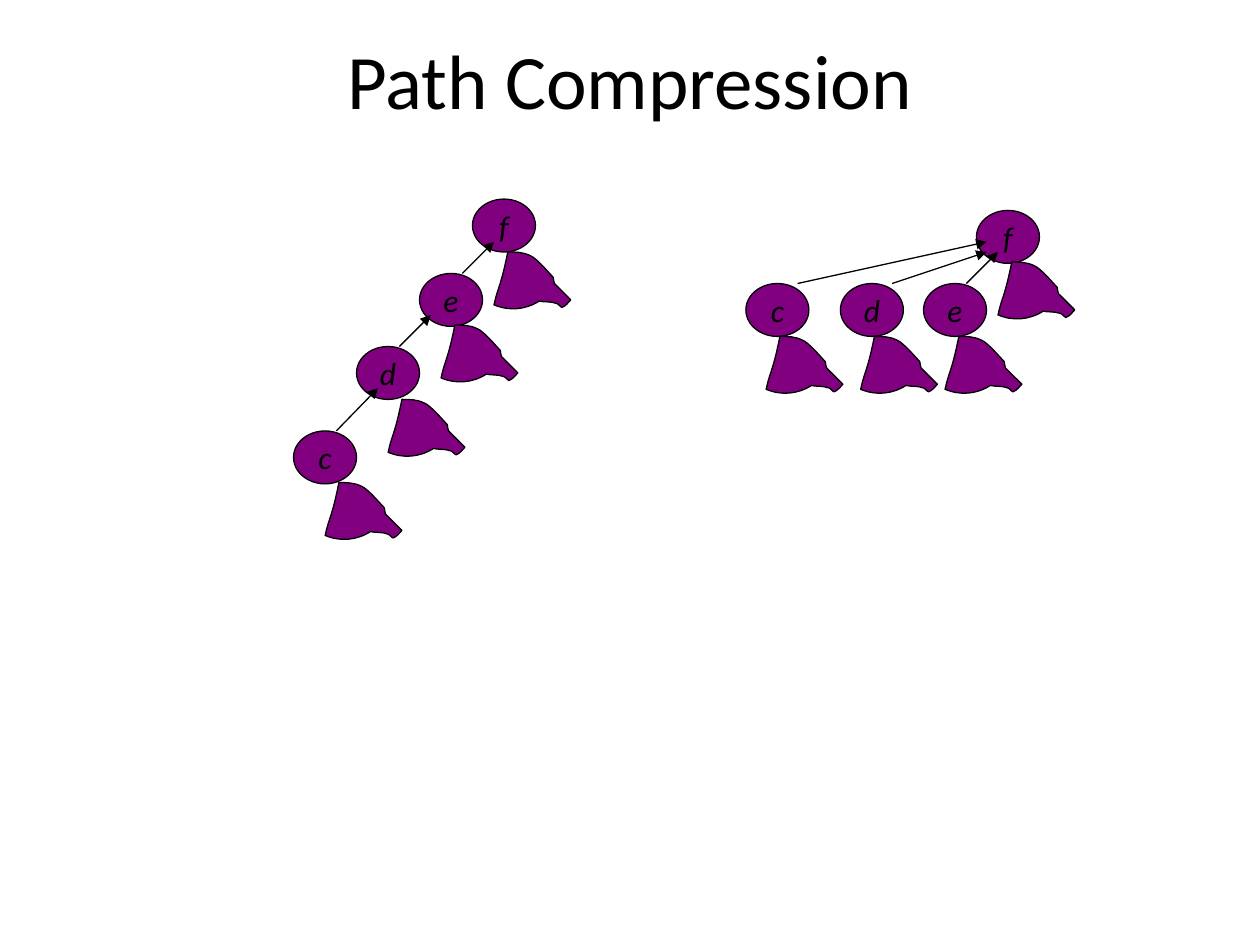
from pptx import Presentation
from pptx.dml.color import RGBColor
from pptx.enum.shapes import MSO_CONNECTOR, MSO_SHAPE
from pptx.enum.text import MSO_ANCHOR, PP_ALIGN
from pptx.oxml.ns import qn
from pptx.util import Inches, Pt
from lxml.etree import SubElement

BLACK = RGBColor(0x00, 0x00, 0x00)
PURPLE = RGBColor(0x80, 0x00, 0x80)
TITLE_FONT = {"name": "Calibri", "size": Pt(44)}
NODE_FONT = {"name": "Calibri", "size": Pt(18), "italic": True}
NODE_SIZE = (0.5, 0.42)

SUBTREE_START = (0.11, 0)
SUBTREE_CURVES = [
    [(0.09, 0.1), (0.07, 0.19), (0.04, 0.28)],
    [(0.03, 0.31), (0.02, 0.34), (0.01, 0.38)],
    [(0.01, 0.39), (0, 0.42), (0, 0.42)],
    [(0.12, 0.47), (0.25, 0.46), (0.36, 0.39)],
    [(0.4, 0.4), (0.45, 0.39), (0.5, 0.41)],
    [(0.51, 0.41), (0.53, 0.44), (0.54, 0.44)],
    [(0.57, 0.43), (0.59, 0.4), (0.61, 0.38)],
    [(0.56, 0.33), (0.52, 0.29), (0.48, 0.25)],
    [(0.47, 0.24), (0.48, 0.22), (0.47, 0.2)],
    [(0.44, 0.17), (0.34, 0.05), (0.29, 0.03)],
    [(0.23, 0), (0.17, 0), (0.11, 0)],
]

PATH_TREE = {
    "nodes": [("f", 3.75, 1.58), ("e", 3.33, 2.17), ("d", 2.83, 2.75), ("c", 2.33, 3.42)],
    "edges": [(3.67, 2.17, 3.92, 1.92), (3.17, 2.75, 3.42, 2.5), (2.67, 3.42, 3, 3.08)],
    "subtrees": [(3.92, 2), (3.5, 2.58), (3.08, 3.17), (2.58, 3.83)],
}
COMPRESSED_TREE = {
    "nodes": [("f", 7.75, 1.67), ("e", 7.33, 2.25), ("d", 6.67, 2.25), ("c", 5.92, 2.25)],
    "edges": [(7.67, 2.25, 7.92, 2), (7.08, 2.25, 7.83, 2), (6.33, 2.25, 7.83, 1.92)],
    "subtrees": [(7.92, 2.08), (7.5, 2.67), (6.83, 2.67), (6.08, 2.67)],
}


def set_text(shape, text, font_format):
    """Write one centred line of black text in a shape."""
    frame = shape.text_frame
    frame.vertical_anchor = MSO_ANCHOR.MIDDLE
    paragraph = frame.paragraphs[0]
    paragraph.alignment = PP_ALIGN.CENTER
    run = paragraph.add_run()
    run.text = text
    for name, value in font_format.items():
        setattr(run.font, name, value)
    run.font.color.rgb = BLACK


def set_line(line):
    """Give an outline or connector its thin black stroke."""
    line.color.rgb = BLACK
    line.width = Pt(0.75)


def paint(shape):
    """Fill a shape purple with a black outline and no shadow."""
    shape.shadow.inherit = False
    shape.fill.solid()
    shape.fill.fore_color.rgb = PURPLE
    set_line(shape.line)


def add_title(slide, text):
    """Place and format the title placeholder."""
    title = slide.shapes.title
    title.left, title.top, title.width, title.height = map(Inches, (0.75, 0, 8.5, 1.25))
    set_text(title, text, TITLE_FONT)


def add_node(slide, label, left, top):
    """Add a labelled ellipse."""
    node = slide.shapes.add_shape(MSO_SHAPE.OVAL, *map(Inches, (left, top, *NODE_SIZE)))
    paint(node)
    node.text_frame.word_wrap = False
    set_text(node, label, NODE_FONT)


def add_edge(slide, *ends):
    """Add an arrow from a child to its parent."""
    edge = slide.shapes.add_connector(MSO_CONNECTOR.STRAIGHT, *map(Inches, ends))
    set_line(edge.line)
    SubElement(edge.line._get_or_add_ln(), qn("a:tailEnd"), type="triangle")
    SubElement(edge._element.spPr, qn("a:effectLst"))


def bend_segments(shape):
    """Turn every three straight segments of an outline into one cubic curve."""
    segments = list(shape._element.iter(qn("a:lnTo")))
    for first, second, third in zip(segments[::3], segments[1::3], segments[2::3]):
        outline = first.getparent()
        curve = SubElement(outline, qn("a:cubicBezTo"))
        outline.replace(first, curve)
        for segment in (first, second, third):
            curve.append(segment[0])
        outline.remove(second)
        outline.remove(third)


def add_subtree(slide, left, top):
    """Add the curved outline that stands for a subtree."""
    offsets = [SUBTREE_START, *sum(SUBTREE_CURVES, [])]
    points = [(Inches(left + x), Inches(top + y)) for x, y in offsets]
    builder = slide.shapes.build_freeform(*points[0])
    builder.add_line_segments(points[1:], close=True)
    subtree = builder.convert_to_shape()
    bend_segments(subtree)
    paint(subtree)


def add_tree(slide, tree):
    """Add the nodes, edges and subtrees of one tree."""
    for part, add_part in (("nodes", add_node), ("edges", add_edge), ("subtrees", add_subtree)):
        for values in tree[part]:
            add_part(slide, *values)


def main():
    """Build the slide and save it."""
    presentation = Presentation()
    presentation.slide_width, presentation.slide_height = Inches(10), Inches(7.5)
    slide = presentation.slides.add_slide(presentation.slide_layouts[5])
    add_title(slide, "Path Compression")
    for tree in (PATH_TREE, COMPRESSED_TREE):
        add_tree(slide, tree)
    presentation.save("out.pptx")


main()
